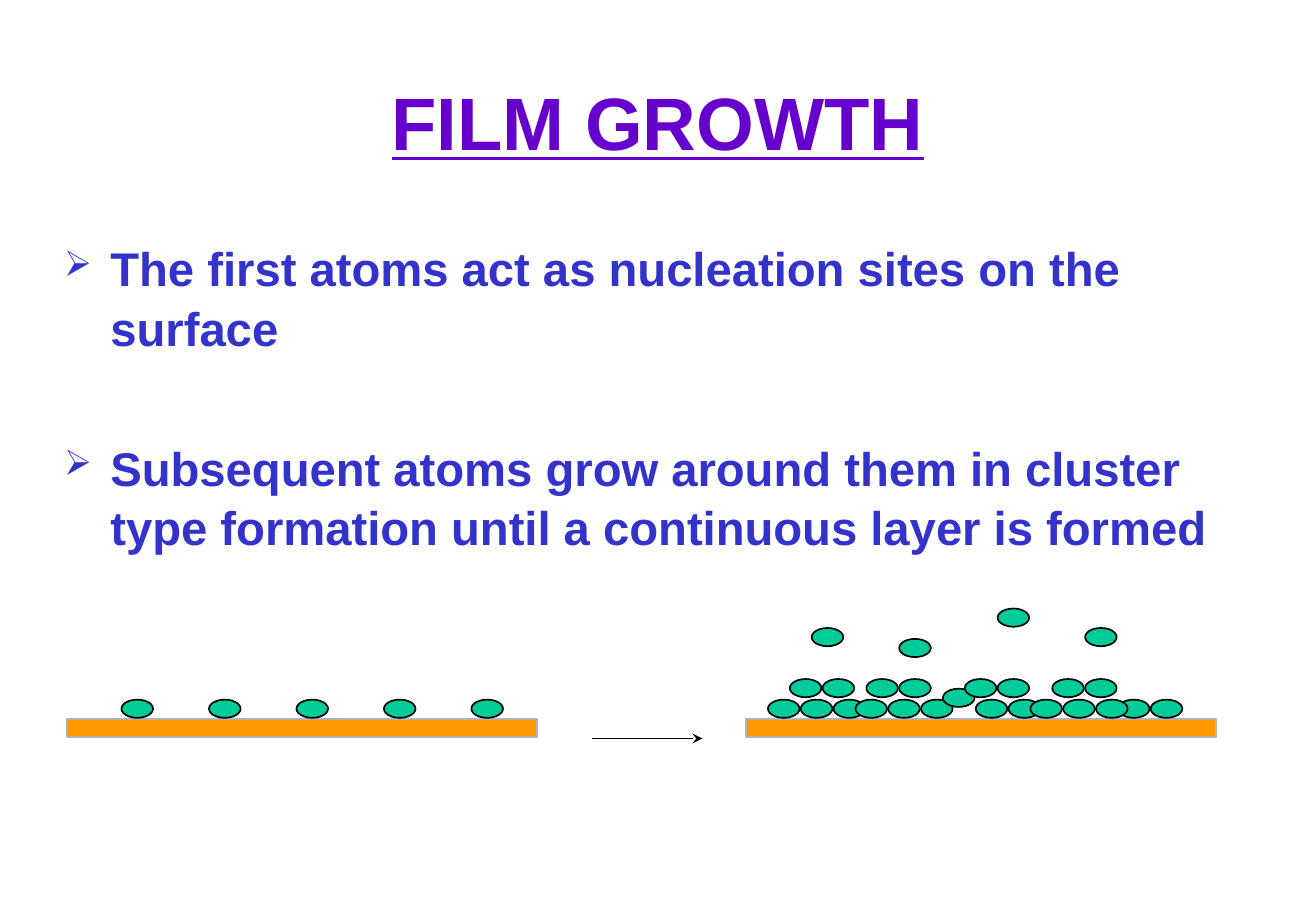
from lxml import etree
from pptx import Presentation
from pptx.dml.color import RGBColor
from pptx.enum.shapes import MSO_CONNECTOR, MSO_SHAPE
from pptx.enum.text import MSO_ANCHOR, PP_ALIGN
from pptx.oxml.ns import qn
from pptx.util import Inches, Pt

PURPLE = RGBColor(0x66, 0x00, 0xCC)
BLUE = RGBColor(0x33, 0x33, 0xCC)
ORANGE = RGBColor(0xFF, 0x99, 0x00)
GREEN = RGBColor(0x00, 0xCC, 0x99)
GRAY = RGBColor(0xB2, 0xB2, 0xB2)
BLACK = RGBColor(0x00, 0x00, 0x00)

TITLE_FONT = {"name": "Arial", "size": Pt(44), "bold": True, "underline": True}
BODY_FONT = {"name": "Arial", "size": Pt(28), "bold": True}
BULLETS = [
    "The first atoms act as nucleation sites on the surface",
    "Subsequent atoms grow around them in cluster type formation "
    "until a continuous layer is formed",
]

ATOM_W, ATOM_H = 0.26, 0.15
COLUMN = 0.09
FIRST_COLUMN = 0.18
# Atom layers: height of the atom's top above the substrate, and its columns
NUCLEI = [(0.16, [3, 11, 19, 27, 35])]
CLUSTERS = [
    (0.16, [0, 3, 6, 8, 11, 14, 19, 22, 24, 27, 32, 30, 35]),
    (0.25, [16]),
    (0.33, [2, 5, 9, 12, 18, 21, 26, 29]),
    (0.66, [12]),
    (0.75, [4, 29]),
    (0.91, [21]),
]


def format_font(font, values, color):
    for name, value in values.items():
        setattr(font, name, value)
    font.color.rgb = color


def add_text_frame(s, x, y, w, h, anchor):
    tf = s.shapes.add_textbox(Inches(x), Inches(y), Inches(w), Inches(h)).text_frame
    tf.word_wrap = True
    tf.vertical_anchor = anchor
    return tf


def add_title(s, x, y, w, h):
    p = add_text_frame(s, x, y, w, h, MSO_ANCHOR.MIDDLE).paragraphs[0]
    p.alignment = PP_ALIGN.CENTER
    r = p.add_run()
    r.text = "FILM GROWTH"
    format_font(r.font, TITLE_FONT, PURPLE)


def set_bullet(p, char, indent):
    pPr = p._p.get_or_add_pPr()
    pPr.set("marL", str(Inches(indent)))
    pPr.set("indent", str(-Inches(indent)))
    color = etree.SubElement(pPr, qn("a:buClr"))
    etree.SubElement(color, qn("a:srgbClr"), val=str(BLUE))
    etree.SubElement(pPr, qn("a:buSzPct"), val="75000")
    etree.SubElement(pPr, qn("a:buChar"), char=char)


def add_bullets(s, x, y, w, h):
    tf = add_text_frame(s, x, y, w, h, MSO_ANCHOR.TOP)
    for i, text in enumerate(BULLETS):
        p = tf.add_paragraph() if i else tf.paragraphs[0]
        p.line_spacing = 1.05
        if i:
            p.space_before = Pt(47.5)
        set_bullet(p, "➢", 0.38)
        r = p.add_run()
        r.text = text
        format_font(r.font, BODY_FONT, BLUE)


def add_solid(s, kind, x, y, w, h, fill, line):
    sp = s.shapes.add_shape(kind, Inches(x), Inches(y), Inches(w), Inches(h))
    sp.shadow.inherit = False
    sp.fill.solid()
    sp.fill.fore_color.rgb = fill
    sp.line.color.rgb = line
    sp.line.width = Pt(1)


def add_film(s, x, y, w, h, layers):
    """Substrate bar in the given box, with layers of atoms above it."""
    add_solid(s, MSO_SHAPE.RECTANGLE, x, y, w, h, ORANGE, GRAY)
    for height, columns in layers:
        for column in columns:
            atom_x = x + FIRST_COLUMN + column * COLUMN
            add_solid(s, MSO_SHAPE.OVAL, atom_x, y - height, ATOM_W, ATOM_H, GREEN, BLACK)


def add_arrow(s, x, y, length):
    c = s.shapes.add_connector(
        MSO_CONNECTOR.STRAIGHT, Inches(x), Inches(y), Inches(x + length), Inches(y))
    c.line.color.rgb = BLACK
    c.line.width = Pt(1)
    etree.SubElement(c.line._get_or_add_ln(), qn("a:tailEnd"), type="stealth")
    etree.SubElement(c._element.spPr, qn("a:effectLst"))


def main():
    prs = Presentation()
    prs.slide_width, prs.slide_height = Inches(10.83), Inches(7.5)
    s = prs.slides.add_slide(prs.slide_layouts[6])
    add_title(s, 0.45, 0.37, 9.93, 1.25)
    add_bullets(s, 0.43, 1.9, 9.99, 4.5)
    add_film(s, 0.55, 5.92, 3.87, 0.15, NUCLEI)
    add_film(s, 6.14, 5.92, 3.87, 0.15, CLUSTERS)
    add_arrow(s, 4.87, 6.08, 0.91)
    prs.save("out.pptx")


if __name__ == "__main__":
    main()
